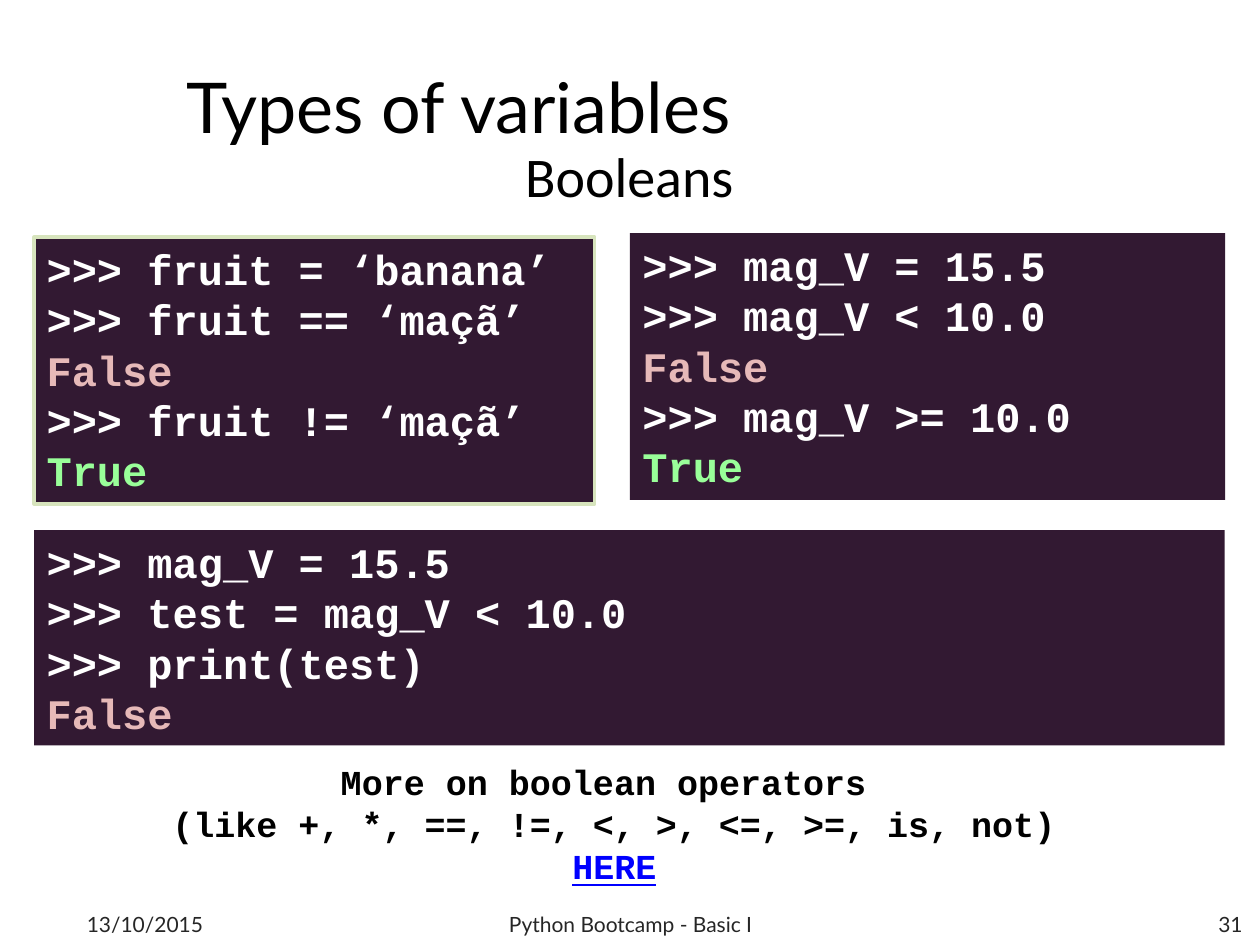
from pptx import Presentation
from pptx.dml.color import RGBColor
from pptx.enum.shapes import MSO_SHAPE as Shape
from pptx.enum.text import MSO_ANCHOR as Anchor, PP_ALIGN as Align
from pptx.util import Cm, Pt

CODE_FONT = "Courier New"
WHITE, BLACK, GREY = "FFFFFF", "000000", "262626"
TERMINAL, BORDER, LINK = "321932", "D7E4BD", "0000FF"
RESULT_COLORS = {"False": "E6B9B8", "True": "99FF99"}
MARGIN, FULL_WIDTH = 0.69, 24


def color(hex_text):
    return RGBColor.from_string(hex_text)


def add_run(paragraph, text, font, size, hex_text, bold=False, underline=False):
    run = paragraph.add_run()
    run.text = text
    run.font.name = font
    run.font.size = Pt(size)
    run.font.color.rgb = color(hex_text)
    run.font.bold = bold
    run.font.underline = underline


def next_paragraph(frame, index):
    return frame.add_paragraph() if index else frame.paragraphs[0]


def add_text(slide, box, lines, font, size, hex_text=BLACK, align=Align.LEFT,
             anchor=Anchor.TOP, bold=False, links=()):
    """Add a text box with one paragraph per line; links are underlined."""
    frame = slide.shapes.add_textbox(*map(Cm, box)).text_frame
    frame.word_wrap = True
    frame.vertical_anchor = anchor
    for index, line in enumerate(lines):
        paragraph = next_paragraph(frame, index)
        paragraph.alignment = align
        is_link = line in links
        add_run(paragraph, line, font, size, LINK if is_link else hex_text,
                bold, is_link)


def add_terminal(slide, box, lines, border=None):
    """Add a dark console panel whose results are coloured by value."""
    shape = slide.shapes.add_shape(Shape.RECTANGLE, *map(Cm, box))
    shape.shadow.inherit = False
    shape.fill.solid()
    shape.fill.fore_color.rgb = color(TERMINAL)
    if border:
        shape.line.color.rgb = color(border)
        shape.line.width = Pt(2)
    else:
        shape.line.fill.background()
    frame = shape.text_frame
    frame.word_wrap = True
    frame.vertical_anchor = Anchor.TOP
    for index, line in enumerate(lines):
        paragraph = next_paragraph(frame, index)
        paragraph.alignment = Align.LEFT
        add_run(paragraph, line, CODE_FONT, 24,
                RESULT_COLORS.get(line, WHITE), bold=True)


def add_footer(slide):
    for left, width, text, align in (
        (1.5, 5.92, "13/10/2015", Align.LEFT),
        (8.69, 8.05, "Python Bootcamp - Basic I", Align.CENTER),
        (19.38, 5.92, "31", Align.RIGHT),
    ):
        add_text(slide, (left, 18.12, width, 1.02), [text], "Lato", 12, GREY,
                 align, Anchor.MIDDLE)


def main():
    presentation = Presentation()
    presentation.slide_width = Cm(25.4)
    presentation.slide_height = Cm(19.05)
    slide = presentation.slides.add_slide(presentation.slide_layouts[6])

    add_text(slide, (3.51, 1.12, 20.62, 2.01), ["Types of variables"],
             "Lato", 40, anchor=Anchor.MIDDLE)
    add_text(slide, (MARGIN, 2.72, FULL_WIDTH, 2.01), ["Booleans"],
             "Calibri", 32, align=Align.CENTER)

    add_terminal(slide, (MARGIN, 4.78, 11.3, 5.38), [
        ">>> fruit = ‘banana’",
        ">>> fruit == ‘maçã’",
        "False",
        ">>> fruit != ‘maçã’",
        "True",
    ], BORDER)
    add_terminal(slide, (12.7, 4.7, 12, 5.38), [
        ">>> mag_V = 15.5",
        ">>> mag_V < 10.0",
        "False",
        ">>> mag_V >= 10.0",
        "True",
    ])
    add_terminal(slide, (MARGIN, 10.69, FULL_WIDTH, 4.34), [
        ">>> mag_V = 15.5",
        ">>> test = mag_V < 10.0",
        ">>> print(test)",
        "False",
    ])

    add_text(slide, (2.29, 15.21, 20.19, 2.82), [
        "More on boolean operators ",
        "(like +, *, ==, !=, <, >, <=, >=, is, not)",
        "HERE",
    ], CODE_FONT, 20, align=Align.CENTER, bold=True, links=("HERE",))
    add_footer(slide)
    presentation.save("out.pptx")


if __name__ == "__main__":
    main()
